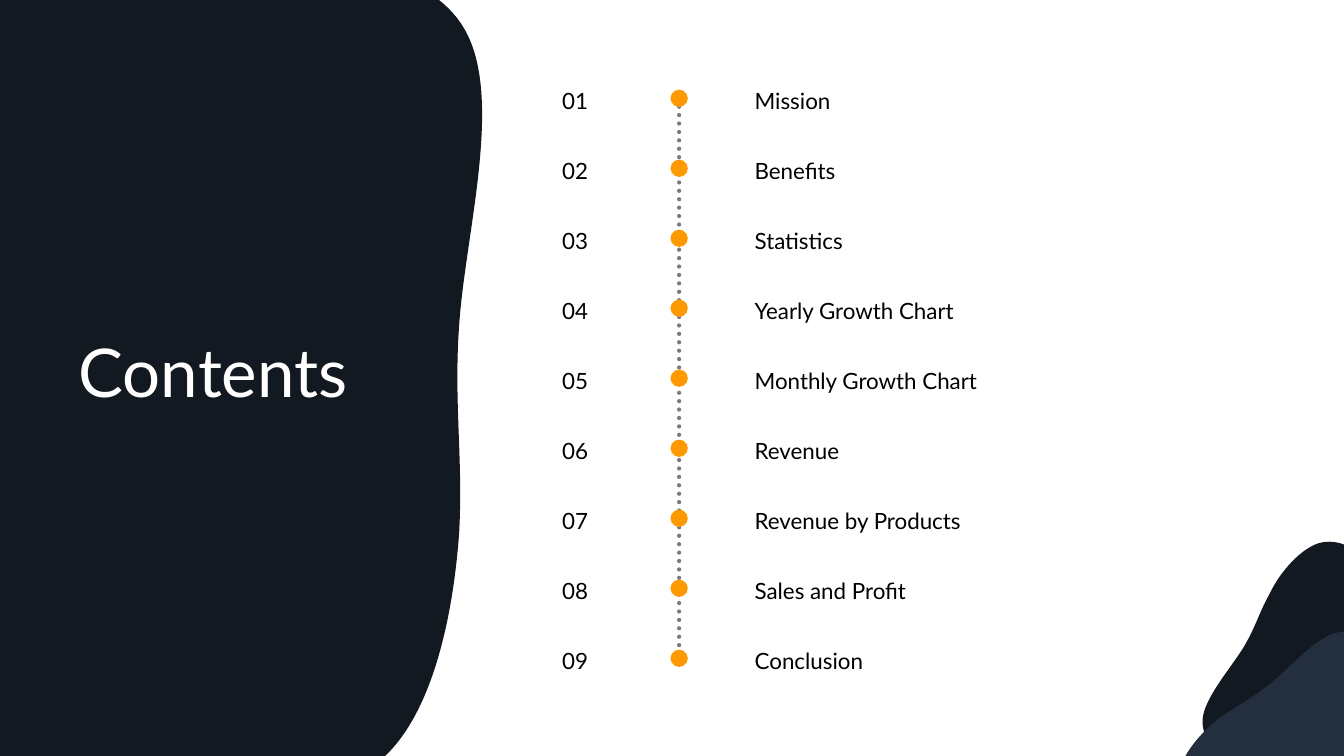
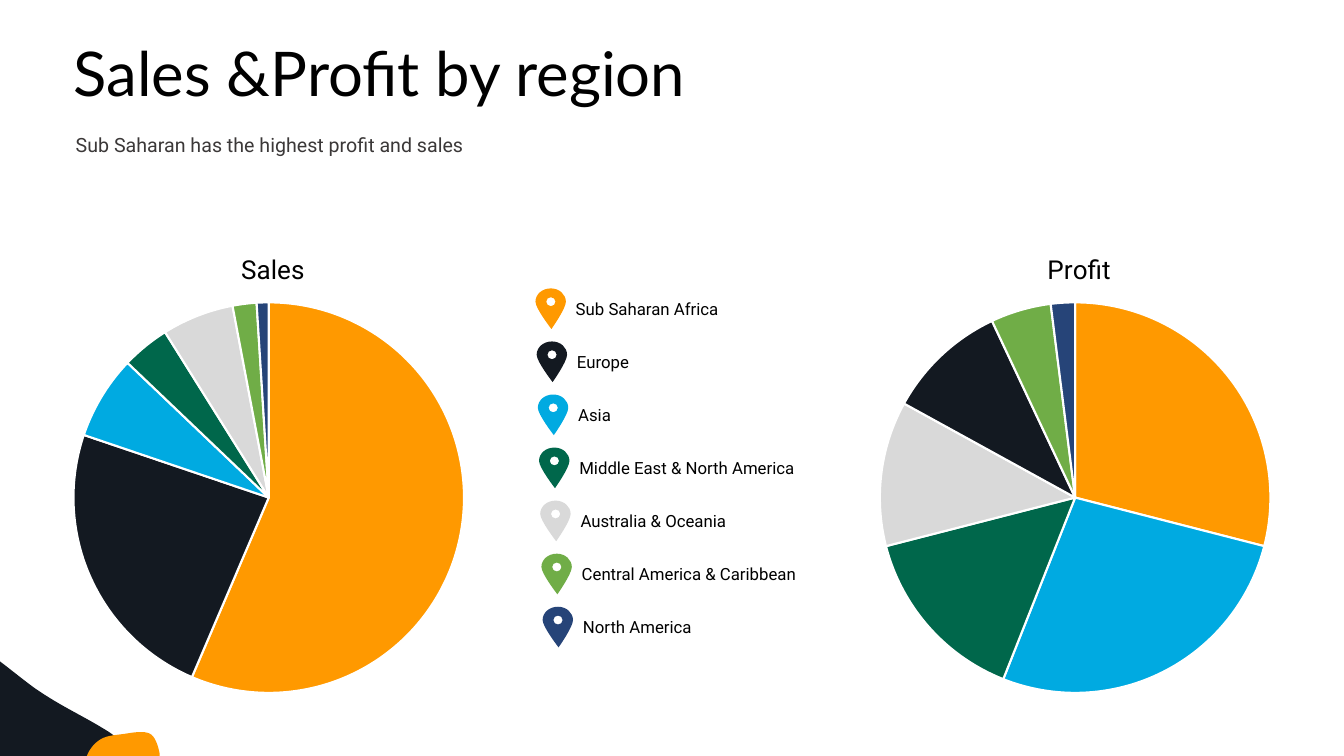
"""Build a contents slide and a sales and profit slide."""
from lxml import etree
from pptx import Presentation
from pptx.chart.data import CategoryChartData
from pptx.dml.color import RGBColor
from pptx.enum import chart as ch, dml, shapes, text
from pptx.oxml.ns import qn
from pptx.util import Pt

INK, NAVY, ORANGE = "131921", "232F3E", "FF9900"
BLACK, WHITE, GRAY, DIM = "000000", "FFFFFF", "595959", "3B3838"
SKY, PINE, SILVER, LEAF, ROYAL = "00AAE1", "00674B", "D9D9D9", "70AD47", "264478"
HEAD, BODY = "Lato", "Roboto"

TOPICS = ["Mission", "Benefits", "Statistics", "Yearly Growth Chart",
          "Monthly Growth Chart", "Revenue", "Revenue by Products",
          "Sales and Profit", "Conclusion"]
REGIONS = [("Sub Saharan Africa", ORANGE), ("Europe", INK), ("Asia", SKY),
           ("Middle East & North America", PINE), ("Australia & Oceania", SILVER),
           ("Central America & Caribbean", LEAF), ("North America", ROYAL)]
SALES = [(57, ORANGE), (24, INK), (7, SKY), (4, PINE), (6, SILVER), (2, LEAF), (1, ROYAL)]
PROFIT = [(29, ORANGE), (27, SKY), (15, PINE), (12, SILVER), (10, INK), (5, LEAF), (2, ROYAL)]

PANEL = [(210, -25), (264, -27, 320, -14, 337, 32), (355, 80, 335, 160, 329, 220),
         (323, 282, 331, 323, 328, 380), (324, 437, 310, 508, 274, 541),
         (243, 571, 196, 571, 153, 553), (0, 553), (0, -11), (130, -11),
         (156, -21, 182, -25, 210, -25)]
HILL = [(859, 514), (860, 500, 876, 481, 886, 466), (896, 451, 899, 438, 907, 424),
        (914, 409, 929, 392, 942, 388), (956, 384, 971, 392, 979, 405),
        (988, 419, 991, 437, 989, 456), (986, 474, 979, 492, 969, 509),
        (958, 526, 945, 542, 931, 549), (916, 556, 900, 553, 886, 546),
        (870, 539, 858, 528, 859, 514)]
FOOTHILL = [(954, 452), (940, 456, 924, 474, 910, 486), (896, 498, 885, 503, 871, 513),
            (858, 523, 844, 539, 842, 553), (840, 567, 850, 580, 864, 587),
            (878, 593, 897, 594, 915, 589), (932, 584, 950, 575, 965, 562),
            (981, 549, 994, 535, 999, 518), (1004, 503, 1000, 487, 989, 473),
            (981, 460, 968, 449, 954, 452)]
SLOPE = [(-37, 451), (-18, 456, 5, 477, 24, 491), (44, 505, 59, 511, 78, 523),
         (96, 536, 117, 554, 123, 570), (129, 586, 119, 599, 103, 606),
         (86, 611, 64, 611, 41, 603), (18, 597, -4, 585, -26, 570),
         (-48, 554, -68, 536, -78, 519), (-86, 502, -84, 485, -76, 471),
         (-68, 457, -55, 446, -37, 451)]
PEBBLE = [(114, 538), (114, 544, 114, 548, 114, 554), (115, 560, 117, 568, 114, 572),
          (111, 576, 104, 576, 98, 575), (91, 575, 86, 574, 79, 572),
          (73, 570, 66, 568, 63, 563), (59, 558, 59, 550, 61, 543),
          (63, 536, 67, 531, 72, 528), (77, 525, 84, 525, 90, 524),
          (96, 523, 103, 522, 107, 524), (111, 526, 113, 533, 114, 538)]
PIN = [(11, 0), (17, 0, 21.7, 4.3, 21.7, 9.5), (21.7, 14.5, 11.4, 29, 11.4, 29),
       (11.4, 29, 0, 14.4, 0, 9.5), (0, 4.3, 4.7, 0, 11, 0)]
PIN_HOLE = [(11, 6.3), (9.2, 6.3, 7.7, 7.7, 7.7, 9.5), (7.7, 11.3, 9.2, 12.7, 11, 12.7),
            (12.8, 12.7, 14.3, 11.3, 14.3, 9.5), (14.3, 7.7, 12.8, 6.3, 11, 6.3)]


def rgb(value):
    """Return the colour for a hex string."""
    return RGBColor.from_string(value)


def paint(sp, color):
    """Give a shape a flat fill with no line or shadow."""
    sp.shadow.inherit = False
    sp.fill.solid()
    sp.fill.fore_color.rgb = rgb(color)
    sp.line.fill.background()


def blob(s, x, y, color, *contours):
    """Draw curved contours as one shape, relative to a corner."""
    outlines = [[(Pt(x + seg[-2]), Pt(y + seg[-1])) for seg in c] for c in contours]
    fb = s.shapes.build_freeform(*outlines[0][0], scale=1.0)
    for i, pts in enumerate(outlines):
        if i:
            fb.move_to(*pts[0])
        fb.add_line_segments(pts[1:], close=True)
    sp = fb.convert_to_shape()
    segments = [seg for c in contours for seg in c[1:]]
    for line, seg in zip(list(sp.element.iter(qn("a:lnTo"))), segments):
        if len(seg) == 6:
            curve = etree.Element(qn("a:cubicBezTo"))
            for px, py in zip(seg[::2], seg[1::2]):
                pt = etree.SubElement(curve, qn("a:pt"))
                pt.set("x", str(Pt(x + px) - sp.left))
                pt.set("y", str(Pt(y + py) - sp.top))
            line.getparent().replace(line, curve)
    paint(sp, color)
    return sp


def write(sp, words, size, font, color, spacing=None, wrap=True):
    """Fill a box with one left-aligned run."""
    tf = sp.text_frame
    tf.word_wrap = wrap
    tf.auto_size = text.MSO_AUTO_SIZE.SHAPE_TO_FIT_TEXT
    tf.vertical_anchor = text.MSO_ANCHOR.TOP
    p = tf.paragraphs[0]
    p.alignment = text.PP_ALIGN.LEFT
    if spacing:
        p.line_spacing = spacing
    r = p.add_run()
    r.text = words
    r.font.size, r.font.name = Pt(size), font
    r.font.color.rgb = rgb(color)


def label(s, x, y, w, h, words, size, font, color=BLACK, spacing=None):
    """Add a text box."""
    sp = s.shapes.add_textbox(Pt(x), Pt(y), Pt(w), Pt(h))
    write(sp, words, size, font, color, spacing)


def heading(s, x, y, w, h, words, size, color):
    """Move and fill the title placeholder."""
    sp = s.shapes.title
    sp.left, sp.top, sp.width, sp.height = Pt(x), Pt(y), Pt(w), Pt(h)
    write(sp, words, size, HEAD, color, wrap=False)


def dotted_line(s, x, y1, y2):
    """Draw a vertical line of round, slightly transparent dots."""
    c = s.shapes.add_connector(shapes.MSO_CONNECTOR.STRAIGHT, Pt(x), Pt(y1), Pt(x), Pt(y2))
    c.line.width = Pt(3)
    c.line.color.rgb = rgb(GRAY)
    c.line.dash_style = dml.MSO_LINE.ROUND_DOT
    sppr = c.element.spPr
    sppr.find(qn("a:ln")).set("cap", "rnd")
    clr = sppr.find(".//" + qn("a:srgbClr"))
    etree.SubElement(clr, qn("a:alpha")).set("val", "80000")
    etree.SubElement(sppr, qn("a:effectLst"))


def timeline(s, x, y, topics, step=50, dot=12.4):
    """List numbered topics along a dotted line."""
    dot_x, dot_y = x + 84.4, y + 10.7
    mid = dot / 2
    dotted_line(s, dot_x + mid, dot_y + mid, dot_y + mid + step * (len(topics) - 1))
    for i, topic in enumerate(topics):
        top = i * step
        sp = s.shapes.add_shape(shapes.MSO_SHAPE.OVAL, Pt(dot_x), Pt(dot_y + top),
                                Pt(dot), Pt(dot))
        paint(sp, ORANGE)
        label(s, x, y + top, 58, 30, f"{i + 1:02}", 16, HEAD, spacing=1.3)
        label(s, x + 137.5, y + top, 185, 30, topic, 16, HEAD, spacing=1.3)


def legend(s, x, y, regions, step=37.9, drift=0.85):
    """List regions beside coloured map pins."""
    for i, (name, color) in enumerate(regions):
        left, top = x + i * drift, y + i * step
        blob(s, left, top, color, PIN, PIN_HOLE)
        label(s, left + 21.7, top + 3.5, 174, 22, name, 12, BODY)


def place(parent, **fractions):
    """Set the manual layout of a chart part."""
    old = parent.find(qn("c:layout"))
    if old is not None:
        parent.remove(old)
    layout = etree.Element(qn("c:layout"))
    manual = etree.SubElement(layout, qn("c:manualLayout"))
    if "w" in fractions:
        etree.SubElement(manual, qn("c:layoutTarget")).set("val", "inner")
    for key in ("x", "y"):
        etree.SubElement(manual, qn(f"c:{key}Mode")).set("val", "edge")
    for key, value in fractions.items():
        etree.SubElement(manual, qn(f"c:{key}")).set("val", str(value))
    parent.insert(0 if parent.find(qn("c:tx")) is None else 1, layout)


def pie(s, x, y, w, h, name, slices):
    """Add a titled pie chart with one colour per slice."""
    data = CategoryChartData()
    data.categories = [str(i + 1) for i in range(len(slices))]
    data.add_series("Series 1", [value for value, _ in slices])
    chart = s.shapes.add_chart(ch.XL_CHART_TYPE.PIE, Pt(x), Pt(y), Pt(w), Pt(h), data).chart
    chart.has_legend = False
    chart.font.name, chart.font.size = "Calibri", Pt(10)
    chart.font.color.rgb = rgb(BLACK)
    chart.has_title = True
    r = chart.chart_title.text_frame.paragraphs[0].add_run()
    r.text = name
    r.font.name, r.font.size, r.font.bold = BODY, Pt(18.6), False
    r.font.color.rgb = rgb(BLACK)
    place(chart.chart_title.element, x=0.455, y=0.044)
    place(chart.element.find(".//" + qn("c:plotArea")), x=0.229, y=0.157, w=0.542, h=0.811)
    plot = chart.plots[0]
    plot.vary_by_categories = True
    for i, (_, color) in enumerate(slices):
        fmt = plot.series[0].points[i].format
        fmt.fill.solid()
        fmt.fill.fore_color.rgb = rgb(color)
        fmt.line.color.rgb = rgb(WHITE)
        fmt.line.width = Pt(1.5)


def contents_slide(s):
    """Build the contents slide."""
    panel = blob(s, 0, 0, INK, PANEL)
    s.shapes.title.element.addprevious(panel.element)
    heading(s, 49, 232, 212, 65, "Contents", 48, WHITE)
    timeline(s, 394.5, 53.3, TOPICS)
    blob(s, 0, 0, INK, HILL)
    blob(s, 0, 0, NAVY, FOOTHILL)


def region_slide(s):
    """Build the sales and profit slide."""
    pie(s, -66, 162, 516, 344, "Sales", SALES)
    pie(s, 510, 162, 516, 344, "Profit", PROFIT)
    heading(s, 45.5, 21.5, 482, 60, "Sales &Profit by region", 44, BLACK)
    label(s, 47, 86.5, 886, 27, "Sub Saharan has the highest profit and sales",
          14, BODY, DIM, 1.3)
    blob(s, 0, 0, INK, SLOPE)
    blob(s, 0, 0, ORANGE, PEBBLE)
    legend(s, 382.5, 206, REGIONS)


def main():
    """Build and save the presentation."""
    prs = Presentation()
    prs.slide_width, prs.slide_height = Pt(960), Pt(540)
    for build in (contents_slide, region_slide):
        build(prs.slides.add_slide(prs.slide_layouts[5]))
    prs.save("out.pptx")


if __name__ == "__main__":
    main()
